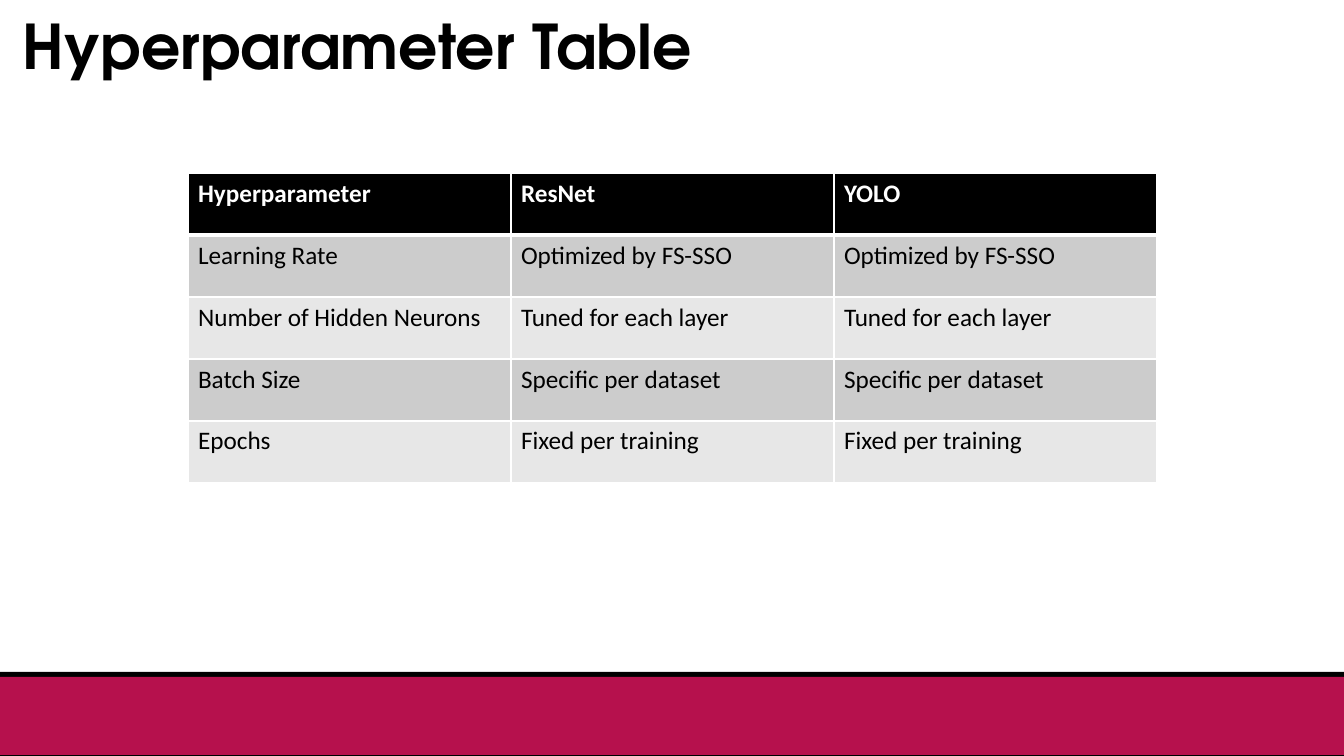
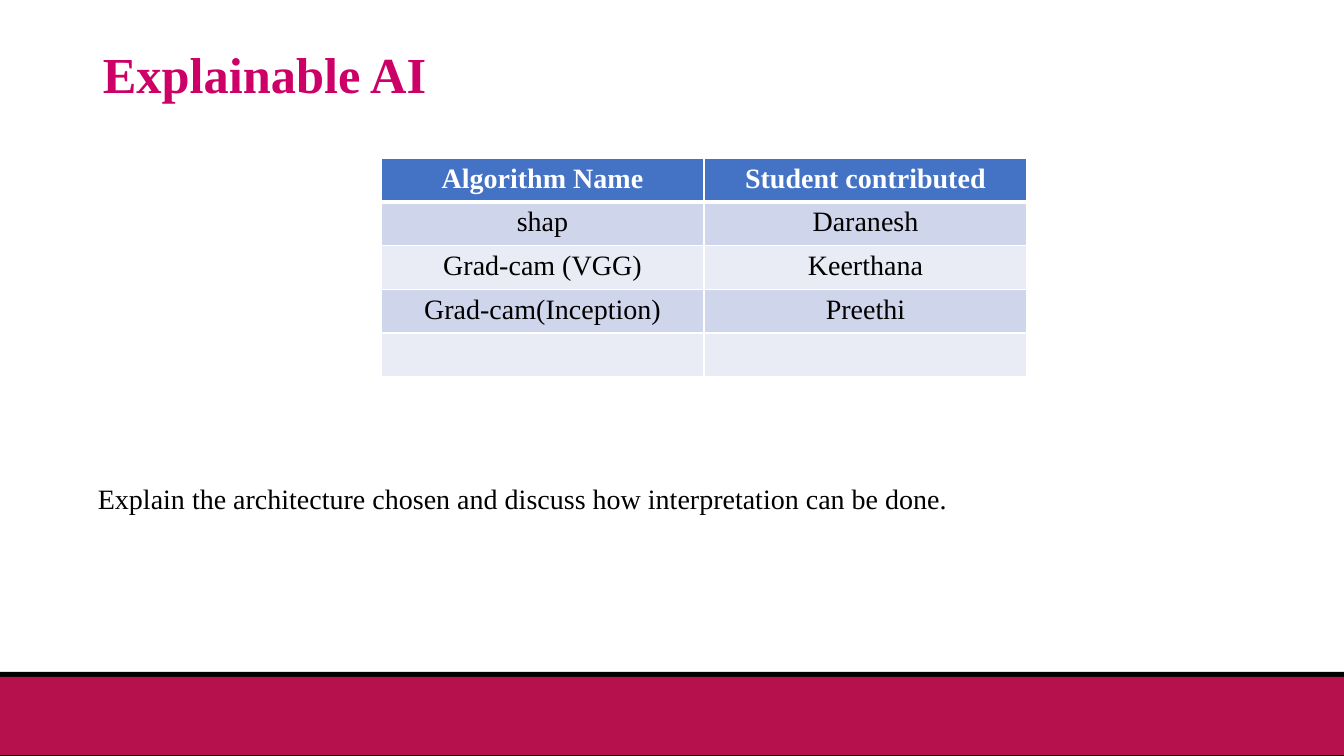
import pptx
import pptx.util
import pptx.dml.color
import pptx.enum.shapes
import pptx.enum.text
import pptx.oxml
import pptx.oxml.ns

EMU_PER_PX = 914400 / 100.8
WIDTH, HEIGHT = 1344, 756
BLACK, WHITE, CRIMSON = "000000", "FFFFFF", "B6114D"
SERIF = "Times New Roman"
LEFT, CENTER = pptx.enum.text.PP_ALIGN.LEFT, pptx.enum.text.PP_ALIGN.CENTER

FOOTER_BANDS = [  # top, height, colour
    (672, 84, BLACK),
    (677, 78, CRIMSON),
]

SLIDES = [
    {
        "title": dict(text="Hyperparameter Table", box=(13, -23, 1159, 146),
                      font="TeX Gyre Adventor", size=44, color=BLACK),
        "table": dict(
            rows=[
                ("Hyperparameter", "ResNet", "YOLO"),
                ("Learning Rate", "Optimized by FS-SSO", "Optimized by FS-SSO"),
                ("Number of Hidden Neurons", "Tuned for each layer", "Tuned for each layer"),
                ("Batch Size", "Specific per dataset", "Specific per dataset"),
                ("Epochs", "Fixed per training", "Fixed per training"),
            ],
            at=(188, 173), cell_size=(323, 62), font="Calibri", size=18,
            align=LEFT, header_fill=BLACK, band_fills=("CCCCCC", "E7E7E7")),
    },
    {
        "title": dict(text="Explainable AI", box=(93, 40, 1159, 75),
                      font=SERIF, size=36, color="CC0066"),
        "table": dict(
            rows=[
                ("Algorithm Name", "Student contributed"),
                ("shap", "Daranesh"),
                ("Grad-cam (VGG)", "Keerthana"),
                ("Grad-cam(Inception)", "Preethi"),
                ("", ""),
            ],
            at=(381, 158), cell_size=(323, 41), font=SERIF, size=20,
            align=CENTER, header_fill="4472C4", band_fills=("CFD5EA", "E9EBF5")),
        "note": dict(
            text="Explain the architecture chosen and discuss how interpretation can be done.",
            box=(88, 477, 876, 44), font=SERIF, size=20, color=BLACK),
    },
]


def px(*lengths):
    return [pptx.util.Emu(round(n * EMU_PER_PX)) for n in lengths]


def rgb(hex_color):
    return pptx.dml.color.RGBColor.from_string(hex_color)


def style(p, font, size, color, bold=False):
    p.font.name, p.font.size, p.font.bold = font, pptx.util.Pt(size), bold
    p.font.color.rgb = rgb(color)


def add_footer(s):
    for top, height, color in FOOTER_BANDS:
        sp = s.shapes.add_shape(pptx.enum.shapes.MSO_SHAPE.RECTANGLE,
                                *px(0, top, WIDTH, height))
        sp.shadow.inherit = False
        sp.fill.solid()
        sp.fill.fore_color.rgb = rgb(color)
        sp.line.fill.background()


def add_text(s, text, box, font, size, color, bold=False, wrap=False):
    tf = s.shapes.add_textbox(*px(*box)).text_frame
    tf.word_wrap = wrap
    p = tf.paragraphs[0]
    p.text = text
    style(p, font, size, color, bold)
    return tf


def add_title(s, title):
    tf = add_text(s, **title, bold=True, wrap=True)
    tf.vertical_anchor = pptx.enum.text.MSO_ANCHOR.MIDDLE
    tf.paragraphs[0].line_spacing = 0.9


def add_borders(cell, row):
    """White rules of 1 pt, with 3 pt between the header and the body."""
    widths = {"L": 1, "R": 1, "T": 3 if row == 1 else 1, "B": 3 if row == 0 else 1}
    tc_pr = cell._tc.get_or_add_tcPr()
    for side, width in widths.items():
        tc_pr.append(pptx.oxml.parse_xml(
            f'<a:ln{side} {pptx.oxml.ns.nsdecls("a")} w="{pptx.util.Pt(width)}">'
            f'<a:solidFill><a:srgbClr val="{WHITE}"/></a:solidFill></a:ln{side}>'))


def add_table(s, rows, at, cell_size, font, size, align, header_fill, band_fills):
    n_rows, n_cols = len(rows), len(rows[0])
    width, height = cell_size
    table = s.shapes.add_table(
        n_rows, n_cols, *px(*at, width * n_cols, height * n_rows)).table
    for i, row in enumerate(rows):
        header = i == 0
        for j, text in enumerate(row):
            cell = table.cell(i, j)
            add_borders(cell, i)
            cell.fill.solid()
            cell.fill.fore_color.rgb = rgb(header_fill if header else band_fills[(i - 1) % 2])
            p = cell.text_frame.paragraphs[0]
            p.text = text
            p.alignment = align
            style(p, font, size, WHITE if header else BLACK, bold=header)


def main():
    prs = pptx.Presentation()
    prs.slide_width, prs.slide_height = px(WIDTH, HEIGHT)
    for content in SLIDES:
        s = prs.slides.add_slide(prs.slide_layouts[6])
        add_footer(s)
        add_title(s, content["title"])
        add_table(s, **content["table"])
        if "note" in content:
            add_text(s, **content["note"])
    prs.save("out.pptx")


if __name__ == "__main__":
    main()
